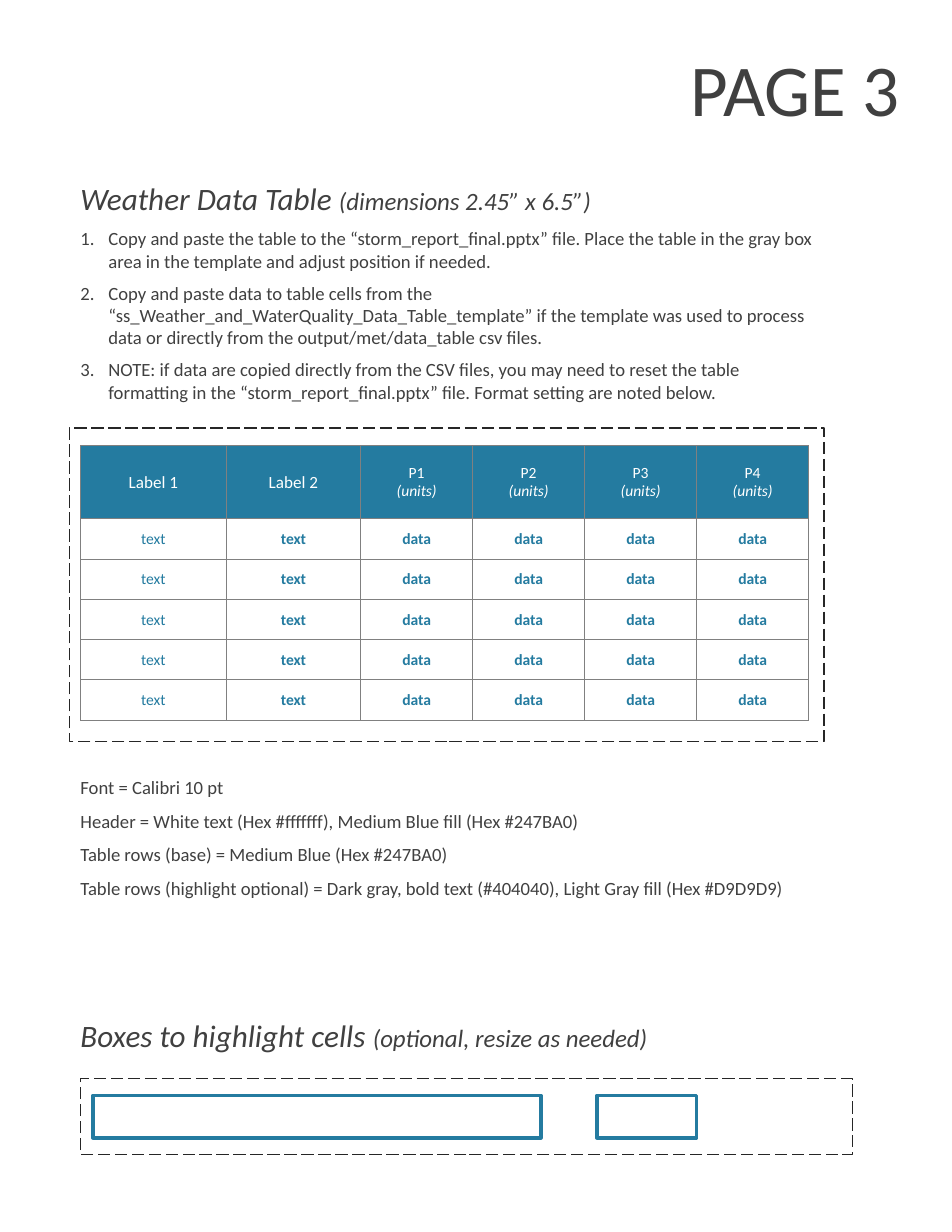
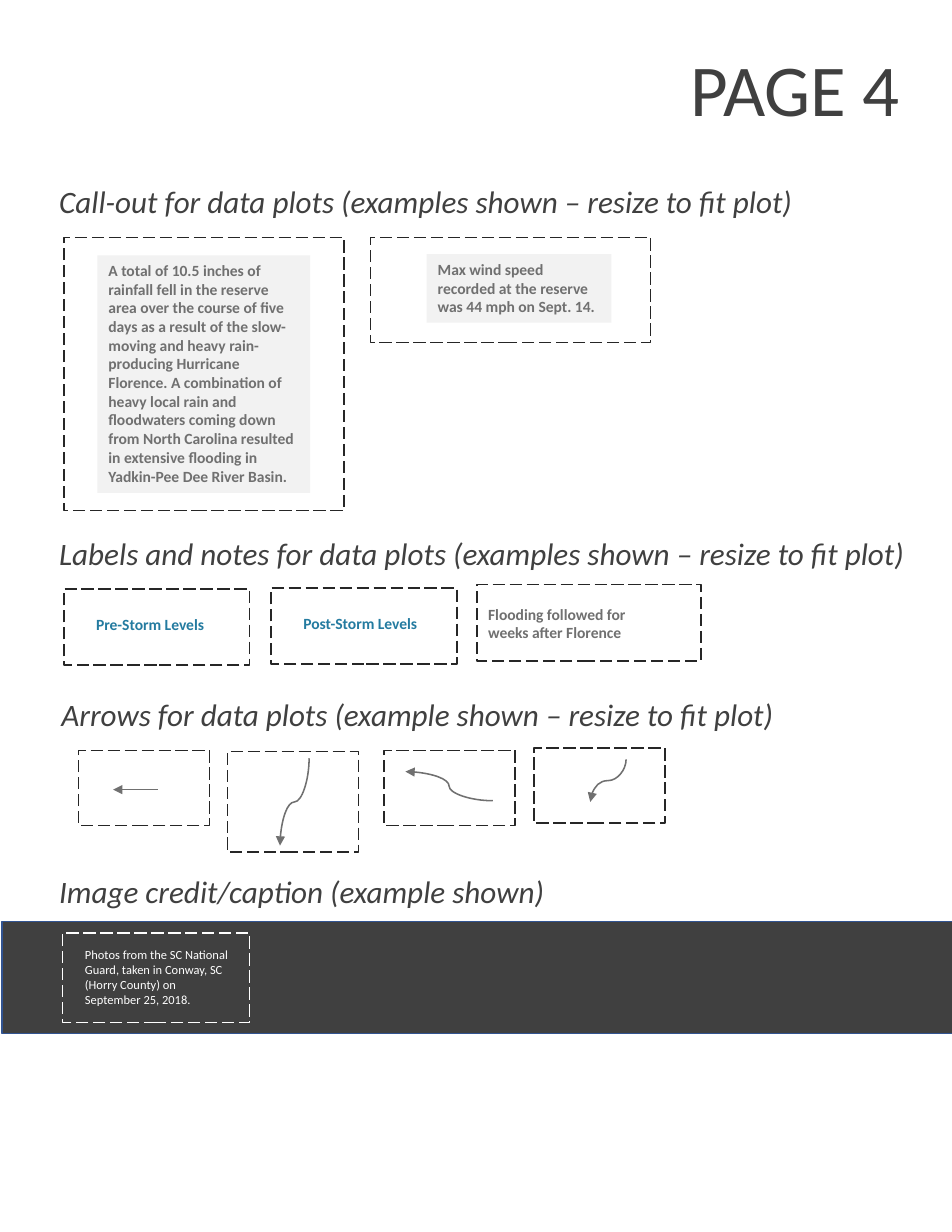
from dataclasses import dataclass

from lxml import etree
from pptx import Presentation
from pptx.dml.color import RGBColor
from pptx.enum.dml import MSO_LINE
from pptx.enum.shapes import MSO_CONNECTOR, MSO_SHAPE
from pptx.enum.text import MSO_ANCHOR, MSO_AUTO_SIZE, PP_ALIGN
from pptx.oxml.ns import qn
from pptx.util import Inches, Pt

RECT = MSO_SHAPE.RECTANGLE
STRAIGHT, CURVE = MSO_CONNECTOR.STRAIGHT, MSO_CONNECTOR.CURVE
LONG_DASH = MSO_LINE.LONG_DASH
MIDDLE, CENTER = MSO_ANCHOR.MIDDLE, PP_ALIGN.CENTER
GROW = MSO_AUTO_SIZE.SHAPE_TO_FIT_TEXT


@dataclass(frozen=True)
class Theme:
    font: str = "Calibri"
    dark: str = "404040"
    gray: str = "707070"
    pale: str = "F2F2F2"
    blue: str = "247BA0"
    white: str = "FFFFFF"
    dash: str = "262626"
    grid: str = "808080"
    band_edge: str = "325491"
    title: float = 46.9
    heading: float = 20
    aside: float = 16
    body: float = 12
    label: float = 11
    cell: float = 10
    credit: float = 8


T = Theme()
W, H = 8.5, 11

# ---- Content: page 3 ----
TABLE_HEADING = ("Weather Data Table ", "(dimensions 2.45” x 6.5”)")
BOXES_HEADING = ("Boxes to highlight cells ", "(optional, resize as needed)")
STEPS = [
    "Copy and paste the table to the “storm_report_final.pptx” file. Place the table "
    "in the gray box area in the template and adjust position if needed.",
    "Copy and paste data to table cells from the "
    "“ss_Weather_and_WaterQuality_Data_Table_template” if the template was used to "
    "process data or directly from the output/met/data_table csv files.",
    "NOTE: if data are copied directly from the CSV files, you may need to reset the "
    "table formatting in the “storm_report_final.pptx” file. Format setting are noted "
    "below.",
]
FORMAT_NOTES = [
    "Font = Calibri 10 pt",
    "Header = White text (Hex #fffffff), Medium Blue fill (Hex #247BA0)",
    "Table rows (base) = Medium Blue (Hex #247BA0)",
    "Table rows (highlight optional) = Dark gray, bold text (#404040), "
    "Light Gray fill (Hex #D9D9D9)",
]
LABELS = ["Label 1", "Label 2"]
PARAMETERS = ["P1", "P2", "P3", "P4"]
ROW = ["text"] * len(LABELS) + ["data"] * len(PARAMETERS)
COL_WIDTHS = [1.3, 1.2] + [1] * len(PARAMETERS)
ROW_HEIGHTS = [0.65] + [0.36] * 5
HIGHLIGHT_BOXES = [(0.83, 4), (5.33, 0.89)]  # left, width

# ---- Content: page 4 ----
HEADINGS = [  # left, top, width, text
    (0.43, 1.58, 8.07, "Call-out for data plots (examples shown – resize to fit plot)"),
    (0.43, 4.72, 8.07,
     "Labels and notes for data plots (examples shown – resize to fit plot)"),
    (0.45, 6.16, 8.07, "Arrows for data plots (example shown – resize to fit plot)"),
    (0.43, 7.74, 6.5, "Image credit/caption (example shown)"),
]
CALLOUTS = [  # dashed frame, filled box, text
    ((0.57, 2.12, 2.5, 2.44), (0.87, 2.28, 1.9, 2.12),
     "A total of 10.5 inches of rainfall fell in the reserve area over the course of "
     "five days as a result of the slow-moving and heavy rain-producing Hurricane "
     "Florence. A combination of heavy local rain and floodwaters coming down from "
     "North Carolina resulted in extensive flooding in Yadkin-Pee Dee River Basin."),
    ((3.31, 2.12, 2.5, 0.94), (3.81, 2.27, 1.65, 0.61),
     "Max wind speed recorded at the reserve was 44 mph on Sept. 14."),
]
PLOT_LABELS = [  # dashed frame, text box, lines, colour
    ((0.57, 5.26, 1.66, 0.68), (0.76, 5.44, 1.29, 0.27), ["Pre-Storm Levels"], T.blue),
    ((2.42, 5.25, 1.66, 0.68), (2.61, 5.43, 1.29, 0.27), ["Post-Storm Levels"], T.blue),
    ((4.26, 5.22, 2, 0.68), (4.26, 5.35, 1.91, 0.44),
     ["Flooding followed for", "weeks after Florence"], T.gray),
]
ARROWS = [  # dashed frame, kind, start, end, leaves vertically
    ((0.7, 6.7, 1.17, 0.67), STRAIGHT, (1.41, 7.05), (1.01, 7.05), False),
    ((2.03, 6.71, 1.17, 0.9), CURVE, (2.76, 6.77), (2.5, 7.55), True),
    ((3.43, 6.7, 1.17, 0.67), CURVE, (4.4, 7.15), (3.62, 6.89), False),
    ((4.77, 6.68, 1.17, 0.67), CURVE, (5.59, 6.78), (5.27, 7.16), True),
]
CREDIT = ("Photos from the SC National Guard, taken in Conway, SC (Horry County) "
          "on September 25, 2018.")


# ---- Helpers ----
def rgb(color):
    return RGBColor.from_string(color)


def inches(values):
    return [Inches(v) for v in values]


def add_run(p, text, size, color, bold=False, italic=False):
    r = p.add_run()
    r.text = text
    f = r.font
    f.name, f.size, f.bold, f.italic = T.font, Pt(size), bold, italic
    f.color.rgb = rgb(color)


def add_text(slide, box, lines, size, color, bold=False, fill=None):
    sp = slide.shapes.add_textbox(*inches(box))
    if fill:
        sp.fill.solid()
        sp.fill.fore_color.rgb = rgb(fill)
    tf = sp.text_frame
    tf.word_wrap, tf.auto_size = True, GROW
    for i, line in enumerate(lines):
        p = tf.add_paragraph() if i else tf.paragraphs[0]
        add_run(p, line, size, color, bold)
    return tf


def add_heading(slide, left, top, width, text, aside=None):
    p = add_text(slide, (left, top, width, 0.44), [], T.heading, T.dark).paragraphs[0]
    add_run(p, text, T.heading, T.dark, italic=True)
    if aside:
        add_run(p, aside, T.aside, T.dark, italic=True)


def add_rect(slide, box, line, weight=1, dash=None, fill=None):
    sp = slide.shapes.add_shape(RECT, *inches(box))
    sp.shadow.inherit = False
    if fill:
        sp.fill.solid()
        sp.fill.fore_color.rgb = rgb(fill)
    else:
        sp.fill.background()
    sp.line.color.rgb = rgb(line)
    sp.line.width = Pt(weight)
    if dash:
        sp.line.dash_style = dash


def add_frame(slide, box, color=T.dash):
    add_rect(slide, box, color, dash=LONG_DASH)


def add_arrow(slide, kind, start, end, vertical):
    if vertical:  # lay the curve flat about its centre, then turn it a quarter
        cx, cy = (start[0] + end[0]) / 2, (start[1] + end[1]) / 2
        dx, dy = (end[1] - start[1]) / 2, (start[0] - end[0]) / 2
        start, end = (cx - dx, cy - dy), (cx + dx, cy + dy)
    c = slide.shapes.add_connector(kind, *inches(start + end))
    c.line.color.rgb = rgb(T.gray)
    c.line.width = Pt(1)
    props = c._element.spPr
    if vertical:
        props.find(qn("a:xfrm")).set("rot", str(90 * 60000))
    etree.SubElement(props.find(qn("a:ln")), qn("a:tailEnd"), type="triangle")
    etree.SubElement(props, qn("a:effectLst"))


def set_cell(cell, runs, fill, margins):
    cell.fill.solid()
    cell.fill.fore_color.rgb = rgb(fill)
    cell.vertical_anchor = MIDDLE
    (cell.margin_left, cell.margin_top,
     cell.margin_right, cell.margin_bottom) = inches(margins)
    tf = cell.text_frame
    for i, (text, size, color, bold, italic) in enumerate(runs):
        p = tf.add_paragraph() if i else tf.paragraphs[0]
        p.alignment = CENTER
        add_run(p, text, size, color, bold, italic)
    props = cell._tc.get_or_add_tcPr()
    for i, side in enumerate(("a:lnL", "a:lnR", "a:lnT", "a:lnB")):
        ln = etree.Element(qn(side), w=str(Pt(0.5)))
        solid = etree.SubElement(ln, qn("a:solidFill"))
        etree.SubElement(solid, qn("a:srgbClr"), val=T.grid)
        props.insert(i, ln)


def add_weather_table(slide, left, top):
    box = (left, top, sum(COL_WIDTHS), sum(ROW_HEIGHTS))
    table = slide.shapes.add_table(
        len(ROW_HEIGHTS), len(COL_WIDTHS), *inches(box)).table
    table.first_row = table.horz_banding = False
    for col, width in zip(table.columns, COL_WIDTHS):
        col.width = Inches(width)
    for row, height in zip(table.rows, ROW_HEIGHTS):
        row.height = Inches(height)
    header = [[(t, T.label, T.white, False, False)] for t in LABELS]
    header += [[(t, T.cell, T.white, False, False),
                ("(units)", T.cell, T.white, False, True)] for t in PARAMETERS]
    for c, runs in enumerate(header):
        set_cell(table.cell(0, c), runs, T.blue, (0.15, 0.07, 0.15, 0.07))
    for r in range(1, len(ROW_HEIGHTS)):
        for c, text in enumerate(ROW):
            set_cell(table.cell(r, c), [(text, T.cell, T.blue, c > 0, False)],
                     T.white, (0.01, 0.01, 0.01, 0))


def add_page(prs, number):
    slide = prs.slides.add_slide(prs.slide_layouts[6])
    add_text(slide, (6.07, 0.34, 2.25, 0.89), [f"PAGE {number}"], T.title, T.dark)
    return slide


# ---- Pages ----
def build_table_page(prs):
    slide = add_page(prs, 3)
    left, width = 0.62, 6.83

    # Instructions
    add_heading(slide, left, 1.55, 5.38, *TABLE_HEADING)
    steps = add_text(slide, (left, 1.98, width, 1.68), STEPS, T.body, T.dark)
    for p in steps.paragraphs:
        p.space_after = Pt(6)
        props = p._p.get_or_add_pPr()
        props.set("marL", str(Inches(0.25)))
        props.set("indent", str(-Inches(0.25)))
        etree.SubElement(props, qn("a:buFont"), typeface="+mj-lt")
        etree.SubElement(props, qn("a:buAutoNum"), type="arabicPeriod")

    # Table and its format
    add_frame(slide, (left, 3.82, 6.74, 2.8))
    add_weather_table(slide, 0.72, 3.98)
    notes = add_text(slide, (left, 6.78, width, 1.62), FORMAT_NOTES, T.body, T.dark)
    for p in notes.paragraphs:
        p.line_spacing = 1.5

    # Highlight boxes
    add_heading(slide, left, 9.03, 5.38, *BOXES_HEADING)
    add_frame(slide, (0.72, 9.63, 6.89, 0.68))
    for x, w in HIGHLIGHT_BOXES:
        add_rect(slide, (x, 9.78, w, 0.38), T.blue, 2.25)


def build_plot_page(prs):
    slide = add_page(prs, 4)
    for heading in HEADINGS:
        add_heading(slide, *heading)

    # Call-outs, labels and arrows
    for frame, box, text in CALLOUTS:
        add_frame(slide, frame)
        add_text(slide, box, [text], T.cell, T.gray, bold=True, fill=T.pale)
    for frame, box, lines, color in PLOT_LABELS:
        add_frame(slide, frame)
        add_text(slide, box, lines, T.cell, color, bold=True)
    for frame, *arrow in ARROWS:
        add_frame(slide, frame)
        add_arrow(slide, *arrow)

    # Caption band
    add_rect(slide, (0.02, 8.23, W, 1), T.band_edge, fill=T.dark)
    add_frame(slide, (0.56, 8.33, 1.67, 0.8), T.white)
    add_text(slide, (0.66, 8.41, 1.48, 0.64), [CREDIT], T.credit, T.white)


def main():
    prs = Presentation()
    prs.slide_width, prs.slide_height = Inches(W), Inches(H)
    build_table_page(prs)
    build_plot_page(prs)
    prs.save("out.pptx")


if __name__ == "__main__":
    main()
